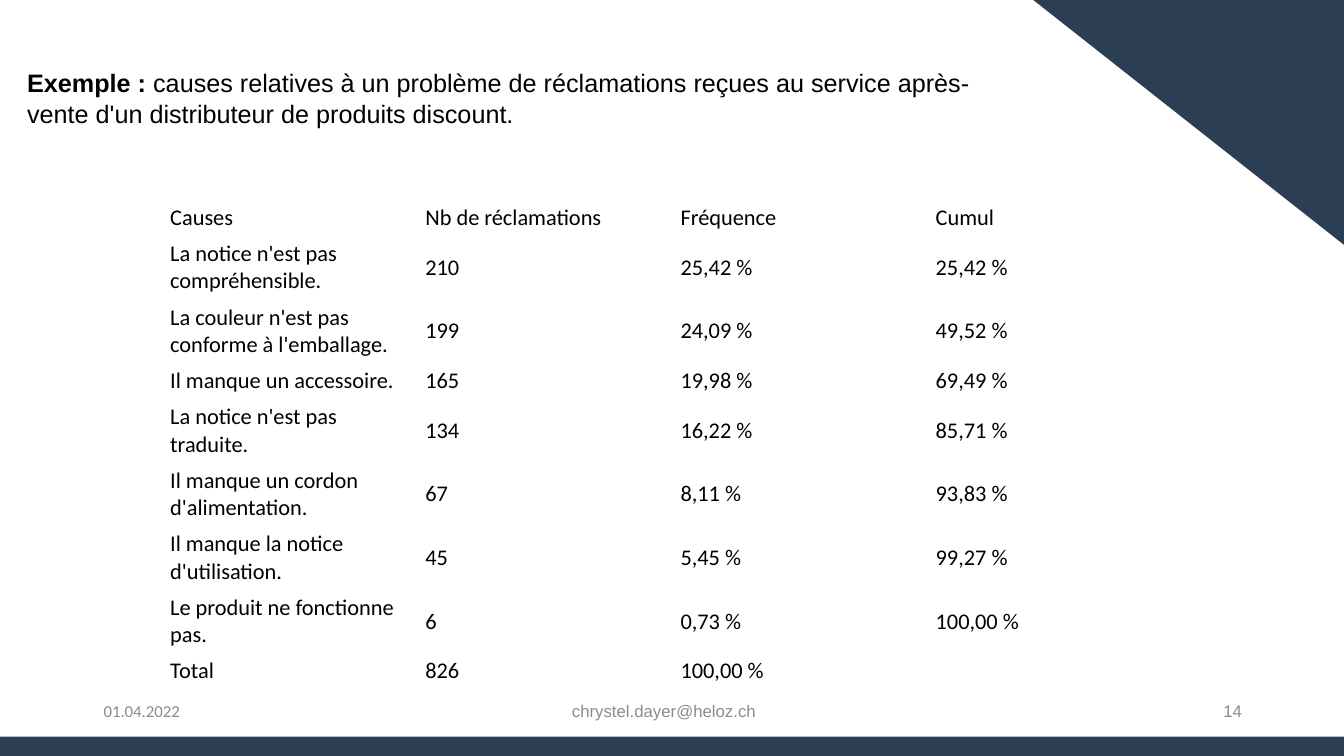
from pptx import Presentation
from pptx.dml.color import RGBColor
from pptx.enum.shapes import MSO_SHAPE
from pptx.enum.text import MSO_ANCHOR, MSO_AUTO_SIZE, PP_ALIGN
from pptx.util import Cm, Pt

NAVY, BLACK, GREY = "2B3E54", "000000", "8C8C8C"


def color(code):
    return RGBColor.from_string(code)


def add_span(para, text, size, font, code, bold=False):
    span = para.add_run()
    span.text = text
    span.font.size = Pt(size)
    span.font.name = font
    span.font.bold = bold
    span.font.color.rgb = color(code)


deck = Presentation()
deck.slide_width, deck.slide_height = Cm(33.87), Cm(19.05)
page = deck.slides.add_slide(deck.slide_layouts[5])

# Bottom band and corner triangle
decorations = [
    (MSO_SHAPE.RECTANGLE, 0, 18.56, 33.87, 0.49, 0),
    (MSO_SHAPE.RIGHT_TRIANGLE, 26.04, 0, 7.83, 6.17, 180),
]
for kind, left, top, width, height, angle in decorations:
    shape = page.shapes.add_shape(kind, Cm(left), Cm(top), Cm(width), Cm(height))
    shape.rotation = angle
    shape.shadow.inherit = False
    shape.fill.solid()
    shape.fill.fore_color.rgb = color(NAVY)
    shape.line.fill.background()

# Heading
title = page.shapes.title
title.left, title.top, title.width, title.height = Cm(0.43), Cm(1.57), Cm(24.77), Cm(1.8)
title.text_frame.word_wrap = True
title.text_frame.auto_size = MSO_AUTO_SIZE.NONE
title.text_frame.vertical_anchor = MSO_ANCHOR.MIDDLE
para = title.text_frame.paragraphs[0]
para.alignment = PP_ALIGN.LEFT
add_span(para, "Exemple\u00a0: ", 18, "Arial", BLACK, bold=True)
add_span(para, "causes relatives à un problème de réclamations reçues au service "
               "après-vente d'un distributeur de produits discount.", 18, "Arial", BLACK)

# Table of complaint causes
causes = [
    ("Causes", "Nb de réclamations", "Fréquence", "Cumul"),
    ("La notice n'est pas compréhensible.", "210", "25,42 %", "25,42 %"),
    ("La couleur n'est pas conforme à l'emballage.", "199", "24,09 %", "49,52 %"),
    ("Il manque un accessoire.", "165", "19,98 %", "69,49 %"),
    ("La notice n'est pas traduite.", "134", "16,22 %", "85,71 %"),
    ("Il manque un cordon d'alimentation.", "67", "8,11 %", "93,83 %"),
    ("Il manque la notice d'utilisation.", "45", "5,45 %", "99,27 %"),
    ("Le produit ne fonctionne pas.", "6", "0,73 %", "100,00 %"),
    ("Total", "826", "100,00 %", ""),
]
frame = page.shapes.add_table(len(causes), 4, Cm(4.06), Cm(5.03), Cm(25.73), Cm(12.17))
table = frame.table
table.first_row = False
table.horz_banding = False
for column in table.columns:
    column.width = Cm(6.43)
for row, values in zip(table.rows, causes):
    two_lines = len(values[0]) > 24
    row.height = Cm(1.58 if two_lines else 0.89)
    for cell, value in zip(row.cells, values):
        cell.fill.background()
        cell.vertical_anchor = MSO_ANCHOR.MIDDLE
        cell.margin_left = cell.margin_right = Cm(0.23)
        cell.margin_top = cell.margin_bottom = Cm(0.11)
        if value:
            add_span(cell.text_frame.paragraphs[0], value, 16, "Calibri", BLACK)
        else:
            cell.text_frame.paragraphs[0].font.size = Pt(16)

# Footer: date, contact, page number
footer = [
    ("01.04.2022", 2.36, 7.57, "Calibri", PP_ALIGN.LEFT),
    ("chrystel.dayer@heloz.ch", 11.02, 11.43, "Arial", PP_ALIGN.CENTER),
    ("14", 23.93, 7.62, "Arial", PP_ALIGN.RIGHT),
]
for text, left, width, font, alignment in footer:
    box = page.shapes.add_textbox(Cm(left), Cm(17.4), Cm(width), Cm(1.02))
    box.text_frame.word_wrap = True
    box.text_frame.vertical_anchor = MSO_ANCHOR.MIDDLE
    para = box.text_frame.paragraphs[0]
    para.alignment = alignment
    add_span(para, text, 12, font, GREY)

deck.save("out.pptx")
